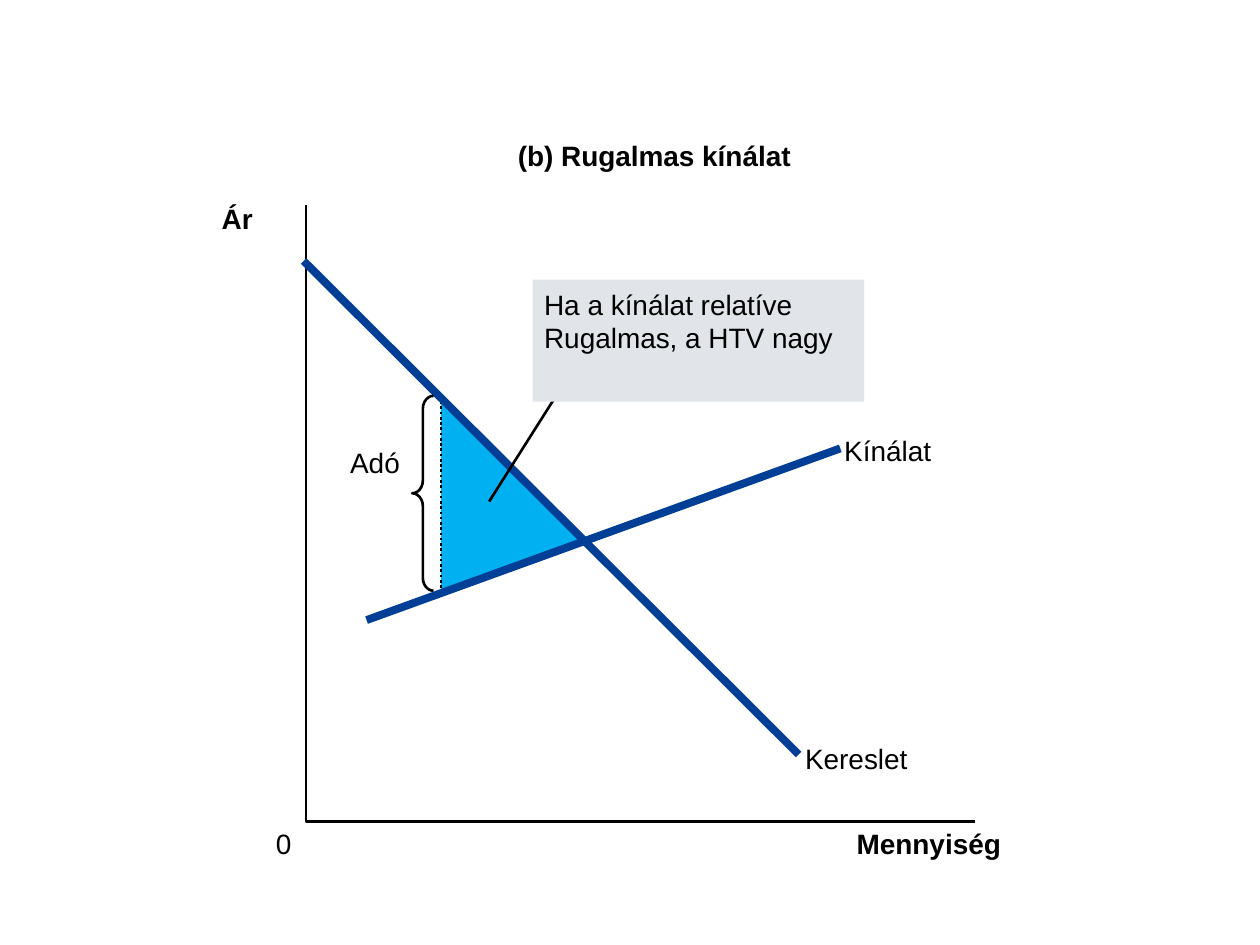
from lxml import etree
from pptx import Presentation
from pptx.dml.color import RGBColor
from pptx.enum import dml, shapes, text
from pptx.oxml.ns import qn
from pptx.util import Cm, Pt

BLACK, CURVE, LOSS, PANEL = "000000", "003F95", "00B0F0", "E1E5E9"
LABEL_HEIGHT = 0.69


def color(hex_value):
    return RGBColor.from_string(hex_value)


def style_line(line, hex_value, width):
    line.color.rgb = color(hex_value)
    line.width = Pt(width)


class Region:
    """Places parts in centimetres from the region's top left corner."""

    def __init__(self, slide, left, top):
        self.shapes, self.left, self.top = slide.shapes, left, top

    def at(self, x, y):
        return Cm(self.left + x), Cm(self.top + y)

    def line(self, start, end, hex_value=BLACK, width=1.5, dash=None):
        connector = self.shapes.add_connector(
            shapes.MSO_CONNECTOR.STRAIGHT, *self.at(*start), *self.at(*end))
        style_line(connector.line, hex_value, width)
        if dash:
            connector.line.dash_style = dash
        etree.SubElement(connector._element.spPr, qn("a:effectLst"))

    def outline(self, points, closed):
        first, *rest = [self.at(*point) for point in points]
        builder = self.shapes.build_freeform(*first)
        builder.add_line_segments(rest, close=closed)
        path = builder.convert_to_shape()
        path.shadow.inherit = False
        return path

    def preset(self, kind, x, y, width, height):
        shape = self.shapes.add_shape(kind, *self.at(x, y), Cm(width), Cm(height))
        shape.shadow.inherit = False
        return shape

    def label(self, lines, x, y, width, bold=False):
        box = self.shapes.add_textbox(
            *self.at(x, y), Cm(width), Cm(LABEL_HEIGHT * len(lines)))
        frame = box.text_frame
        frame.margin_left = frame.margin_right = 0
        frame.margin_top = frame.margin_bottom = 0
        frame.word_wrap = False
        frame.auto_size = text.MSO_AUTO_SIZE.SHAPE_TO_FIT_TEXT
        for i, words in enumerate(lines):
            paragraph = frame.paragraphs[0] if i == 0 else frame.add_paragraph()
            run = paragraph.add_run()
            run.text = words
            run.font.name, run.font.size, run.font.bold = "Arial", Pt(16), bold
            run.font.color.rgb = color(BLACK)


def draw_deadweight_loss(plot):
    top, bottom, tax_x = 3.89, 7.82, 2.72
    triangle = plot.outline([(tax_x, top), (tax_x, bottom), (5.59, 6.76)], closed=True)
    triangle.fill.solid()
    triangle.fill.fore_color.rgb = color(LOSS)
    triangle.line.fill.background()
    plot.line((tax_x, top - 0.05), (tax_x, bottom - 0.05),
              dash=dml.MSO_LINE.ROUND_DOT)


def draw_axes(plot, width, height):
    axes = plot.outline([(0, 0), (0, height), (width, height)], closed=False)
    axes.fill.background()
    style_line(axes.line, BLACK, 1.5)
    plot.label(["(b) Rugalmas kínálat"], 4.27, -1.35, 5.59, bold=True)
    plot.label(["Ár"], -1.7, -0.08, 0.64, bold=True)
    plot.label(["0"], -0.61, height + 0.1, 0.3)
    plot.label(["Mennyiség"], 11.1, height + 0.1, 2.95, bold=True)


def draw_curves(plot):
    plot.line((9.93, 11.07), (-0.05, 1.12), CURVE, 4.5)
    plot.label(["Kereslet"], 10.06, 10.8, 2.08)
    plot.line((10.77, 4.9), (1.22, 8.36), CURVE, 4.5)
    plot.label(["Kínálat"], 10.85, 4.6, 1.78)


def draw_tax_brace(plot):
    brace = plot.preset(shapes.MSO_SHAPE.LEFT_BRACE, 2.14, 3.84, 0.43, 3.93)
    brace.adjustments[0] = 0.6
    brace.fill.background()
    style_line(brace.line, BLACK, 1.5)
    plot.label(["Adó"], 0.89, 4.85, 1.02)


def draw_callout(plot):
    plot.line((5.11, 3.73), (3.69, 5.97))
    panel = plot.preset(shapes.MSO_SHAPE.RECTANGLE, 4.57, 1.5, 6.68, 2.46)
    panel.fill.solid()
    panel.fill.fore_color.rgb = color(PANEL)
    panel.line.fill.background()
    plot.label(["Ha a kínálat relatíve", "Rugalmas, a HTV nagy"], 4.8, 1.65, 6.05)


def main():
    deck = Presentation()
    deck.slide_width, deck.slide_height = Cm(25.4), Cm(19.05)
    slide = deck.slides.add_slide(deck.slide_layouts[6])
    plot = Region(slide, 6.17, 4.14)
    draw_deadweight_loss(plot)
    draw_axes(plot, 13.49, 12.42)
    draw_curves(plot)
    draw_tax_brace(plot)
    draw_callout(plot)
    deck.save("out.pptx")


if __name__ == "__main__":
    main()
